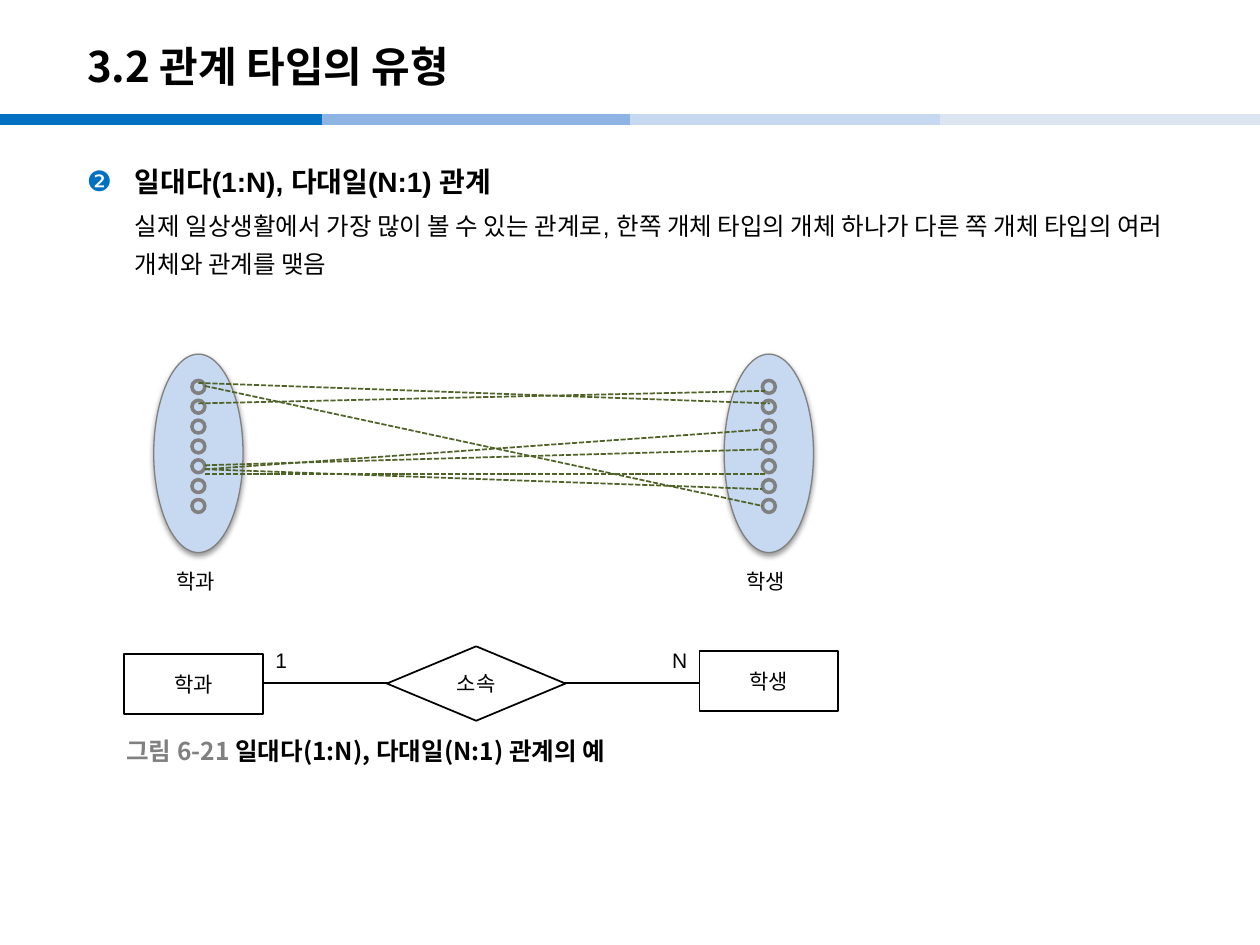
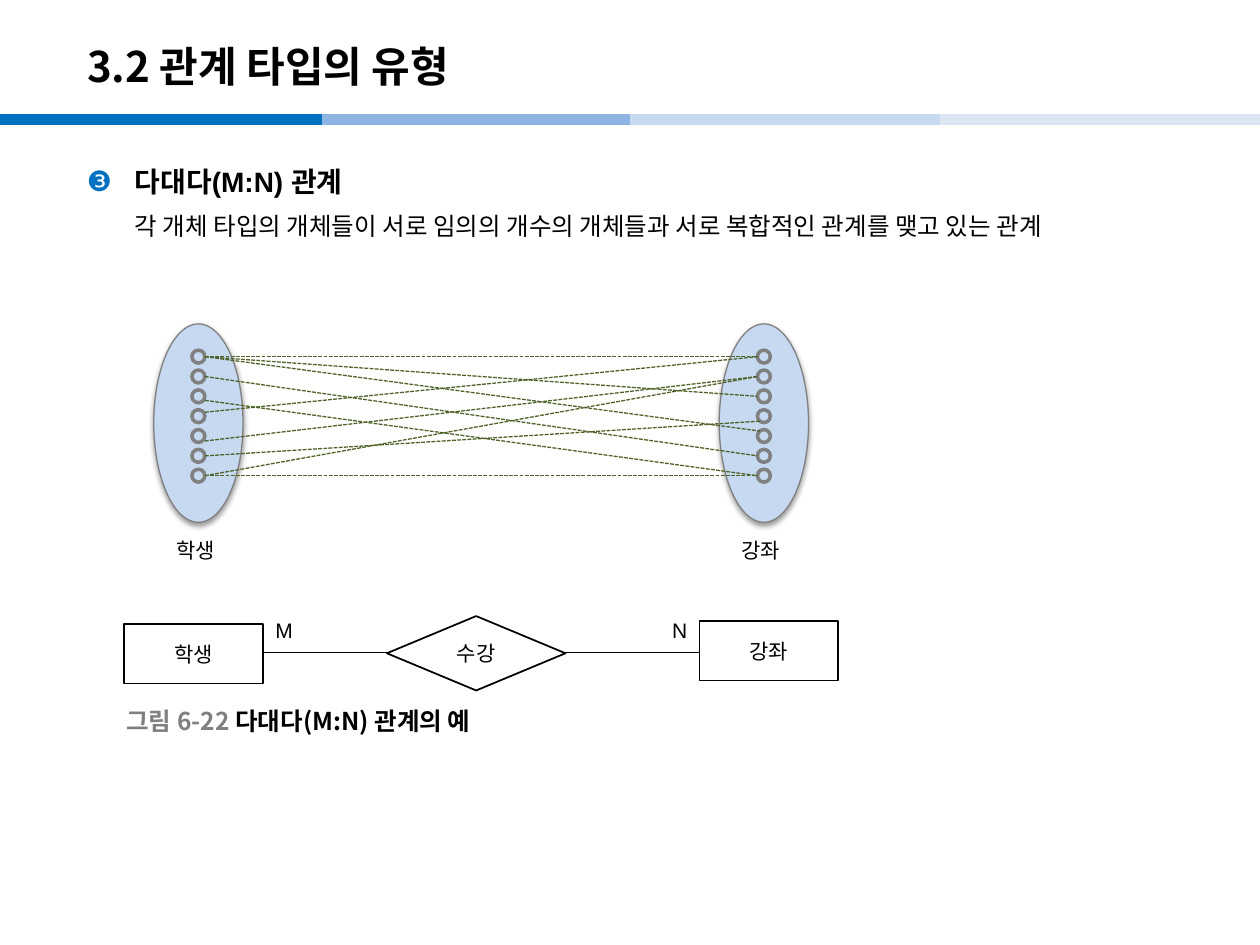
from dataclasses import dataclass
from typing import NamedTuple

from lxml import etree
from pptx import Presentation
from pptx.dml.color import RGBColor
from pptx.enum.dml import MSO_LINE
from pptx.enum.shapes import MSO_CONNECTOR, MSO_SHAPE
from pptx.enum.text import MSO_ANCHOR, PP_ALIGN
from pptx.oxml.ns import qn
from pptx.util import Cm, Pt

STRAIGHT = MSO_CONNECTOR.STRAIGHT
OVAL, DOT = MSO_SHAPE.OVAL, MSO_SHAPE.FLOWCHART_CONNECTOR
RECTANGLE, DIAMOND = MSO_SHAPE.RECTANGLE, MSO_SHAPE.FLOWCHART_DECISION
SHORT_DASH = MSO_LINE.SQUARE_DOT
LEFT, CENTER = PP_ALIGN.LEFT, PP_ALIGN.CENTER
MIDDLE, TOP = MSO_ANCHOR.MIDDLE, MSO_ANCHOR.TOP
TITLE_ONLY = 5


@dataclass(frozen=True)
class Theme:
    korean_font: str = "Noto Sans CJK KR"
    latin_font: str = "Arial"
    black: str = "000000"
    white: str = "FFFFFF"
    gray: str = "808080"
    accent: str = "0070C0"
    set_fill: str = "C6D9F1"
    link: str = "4F6228"
    bands: tuple = ("0070C0", "8EB4E3", "C6D9F1", "DCE6F2")
    title_size: int = 24
    heading_size: int = 16
    body_size: int = 14
    label_size: int = 12
    line_spacing: float = 1.27


THEME = Theme()


class Box(NamedTuple):
    """Lengths in centimetres."""
    left: float
    top: float
    width: float
    height: float

    def inner(self, left, top, width, height):
        return Box(self.left + left, self.top + top, width, height)

    def lengths(self):
        return [Cm(value) for value in self]


class Link(NamedTuple):
    """Dot rows joined, and how far each end reaches into its dot."""
    left_row: float
    right_row: float
    left_reach: float = 0
    right_reach: float = 0


class Relation(NamedTuple):
    bullet: str
    heading: str
    description: str
    left_entity: str
    right_entity: str
    verb: str
    left_count: str
    right_count: str
    figure: str
    caption: str
    diagram_top: float
    right_set_left: float
    link_width: float
    links: tuple


TITLE = "3.2 관계 타입의 유형"
TITLE_BOX = Box(1.5, 0.56, 21, 1.52)
BODY_BOX = Box(1.5, 3.02, 22.4, 4)
BAND_TOP = 2.41
BAND_EDGES = (0, 6.5, 12.7, 18.95, 25.4)
DIAGRAM_LEFT, DIAGRAM_WIDTH, DIAGRAM_HEIGHT = 2.3, 14.6, 8.4
SET_LEFT, SET_WIDTH, SET_HEIGHT = 0.8, 1.8, 4
DOT_COUNT, DOT_SIZE, DOT_PITCH, FIRST_DOT_CENTER = 7, 0.26, 0.4, 0.66
DOT_INSET = (SET_WIDTH - DOT_SIZE) / 2

RELATIONS = (
    Relation(
        "❷", "일대다(1:N), 다대일(N:1) 관계",
        "실제 일상생활에서 가장 많이 볼 수 있는 관계로, 한쪽 개체 타입의 개체 하나가 "
        "다른 쪽 개체 타입의 여러 개체와 관계를 맺음",
        "학과", "학생", "소속", "1", "N",
        "그림 6-21 ", "일대다(1:N), 다대일(N:1) 관계의 예",
        7.14, 12.3, 1,
        (Link(0.83, 0.2, 0.13, 0.05), Link(-0.2, 0.83, 0.13, 0.15), Link(-0.05, 6),
         Link(4.15, 2.15), Link(3.95, 3.15), Link(4.4, 4.4, 0, 0.05), Link(4.15, 5.15)),
    ),
    Relation(
        "❸", "다대다(M:N) 관계",
        "각 개체 타입의 개체들이 서로 임의의 개수의 개체들과 서로 복합적인 관계를 맺고 있는 관계",
        "학생", "강좌", "수강", "M", "N",
        "그림 6-22 ", "다대다(M:N) 관계의 예",
        6.53, 12.2, 0.75,
        (Link(0, 0), Link(0, 2), Link(0, 3.75, 0, 0.05), Link(2.8, 0), Link(4.25, 1),
         Link(2.2, 6), Link(6, 1), Link(6, 6), Link(1, 5), Link(5, 3.25, 0, 0.05)),
    ),
)


def color(value):
    return RGBColor.from_string(value)


def add_run(paragraph, text, size, latin=THEME.korean_font, fill=THEME.black, bold=False):
    run = paragraph.add_run()
    run.text = text
    font = run.font
    font.size, font.bold, font.name = Pt(size), bold, latin
    font.color.rgb = color(fill)
    etree.SubElement(run._r.get_or_add_rPr(), qn("a:ea"), typeface=THEME.korean_font)


def add_text_box(slide, box, anchor=MIDDLE):
    frame = slide.shapes.add_textbox(*box.lengths()).text_frame
    frame.word_wrap = True
    frame.vertical_anchor = anchor
    return frame


def add_label(slide, box, text):
    paragraph = add_text_box(slide, box).paragraphs[0]
    add_run(paragraph, text, THEME.label_size, THEME.latin_font)


def add_outlined_shape(shapes, kind, box, fill, line, width):
    shape = shapes.add_shape(kind, *box.lengths())
    shape.shadow.inherit = False
    shape.fill.solid()
    shape.fill.fore_color.rgb = color(fill)
    shape.line.color.rgb = color(line)
    shape.line.width = Pt(width)
    return shape


def add_line(slide, start, end, line, width, dash=None):
    connector = slide.shapes.add_connector(
        STRAIGHT, *(Cm(value) for value in (*start, *end)))
    connector.line.color.rgb = color(line)
    connector.line.width = Pt(width)
    if dash:
        connector.line.dash_style = dash
    etree.SubElement(connector._element.spPr, qn("a:effectLst"))


def cast_shadow(shape):
    effects = shape._element.spPr.find(qn("a:effectLst"))
    shadow = etree.SubElement(
        effects, qn("a:outerShdw"), blurRad=str(Pt(3.1)), dist=str(Pt(1.6)),
        dir="5400000", rotWithShape="0")
    black = etree.SubElement(shadow, qn("a:srgbClr"), val=THEME.black)
    etree.SubElement(black, qn("a:alpha"), val="38000")


def set_bullet(paragraph, character=None):
    """Hang the paragraph; without a character it only lines up with the bulleted text."""
    properties = paragraph._p.get_or_add_pPr()
    properties.set("marL", str(Cm(0.97)))
    properties.set("indent", str(Cm(-0.97 if character else 0)))
    if character:
        bullet_color = etree.SubElement(properties, qn("a:buClr"))
        etree.SubElement(bullet_color, qn("a:srgbClr"), val=THEME.accent)
        etree.SubElement(properties, qn("a:buFont"), typeface=THEME.latin_font)
        etree.SubElement(properties, qn("a:buChar"), char=character)
    else:
        etree.SubElement(properties, qn("a:buNone"))


def add_bands(slide):
    for start, end, band in zip(BAND_EDGES, BAND_EDGES[1:], THEME.bands):
        add_line(slide, (start, BAND_TOP), (end, BAND_TOP), band, 6)


def format_title(slide, box):
    title = slide.shapes.title
    title.left, title.top, title.width, title.height = box.lengths()
    title.text_frame.vertical_anchor = MIDDLE
    paragraph = title.text_frame.paragraphs[0]
    paragraph.alignment = LEFT
    add_run(paragraph, TITLE, THEME.title_size, bold=True)


def add_explanation(slide, box, relation):
    frame = add_text_box(slide, box, TOP)
    heading, description = frame.paragraphs[0], frame.add_paragraph()
    set_bullet(heading, relation.bullet)
    set_bullet(description)
    heading.line_spacing = description.line_spacing = THEME.line_spacing
    description.space_before = Pt(2.8)
    add_run(heading, relation.heading, THEME.heading_size, THEME.latin_font, bold=True)
    add_run(description, relation.description, THEME.body_size, THEME.latin_font)


def add_entity_set(slide, box):
    shapes = slide.shapes.add_group_shape().shapes
    cast_shadow(add_outlined_shape(shapes, OVAL, box, THEME.set_fill, THEME.gray, 0.75))
    for row in range(DOT_COUNT):
        top = FIRST_DOT_CENTER - DOT_SIZE / 2 + row * DOT_PITCH
        dot = box.inner(DOT_INSET, top, DOT_SIZE, DOT_SIZE)
        add_outlined_shape(shapes, DOT, dot, THEME.set_fill, THEME.gray, 2)


def add_links(slide, left_set, right_set, relation):
    start_x = left_set.left + DOT_INSET + DOT_SIZE
    end_x = right_set.left + DOT_INSET
    first_y = left_set.top + FIRST_DOT_CENTER
    for link in relation.links:
        start = (start_x - link.left_reach, first_y + link.left_row * DOT_PITCH)
        end = (end_x + link.right_reach, first_y + link.right_row * DOT_PITCH)
        add_line(slide, start, end, THEME.link, relation.link_width, SHORT_DASH)


def add_node(slide, kind, box, text):
    shape = add_outlined_shape(slide.shapes, kind, box, THEME.white, THEME.black, 1)
    shape.text_frame.vertical_anchor = MIDDLE
    paragraph = shape.text_frame.paragraphs[0]
    paragraph.alignment = CENTER
    add_run(paragraph, text, THEME.label_size)


def add_entity_diagram(slide, box, relation):
    line_y = box.top + 0.84
    add_line(slide, (box.left + 3, line_y), (box.left + 11.8, line_y), THEME.black, 0.75)
    add_node(slide, DIAMOND, box.inner(5.5, 0.1, 3.6, 1.5), relation.verb)
    add_label(slide, box.inner(3, 0, 0.9, 0.76), relation.left_count)
    add_label(slide, box.inner(11, 0, 0.9, 0.76), relation.right_count)
    add_node(slide, RECTANGLE, box.inner(0.2, 0.26, 2.8, 1.2), relation.left_entity)
    add_node(slide, RECTANGLE, box.inner(11.8, 0.2, 2.8, 1.2), relation.right_entity)


def add_caption(slide, box, relation):
    paragraph = add_text_box(slide, box).paragraphs[0]
    add_run(paragraph, relation.figure, THEME.body_size, fill=THEME.gray, bold=True)
    add_run(paragraph, relation.caption, THEME.body_size, bold=True)


def add_figure(slide, box, relation):
    left_set, right_set = (
        box.inner(left, 0, SET_WIDTH, SET_HEIGHT)
        for left in (SET_LEFT, relation.right_set_left))
    for entity_set, name in ((left_set, relation.left_entity),
                             (right_set, relation.right_entity)):
        add_entity_set(slide, entity_set)
        add_label(slide, entity_set.inner(0.2, 4.19, 1.4, 0.76), name)
    add_entity_diagram(slide, box.inner(0, 5.79, box.width, 1.6), relation)
    add_caption(slide, box.inner(0, 7.6, box.width, 0.8), relation)
    add_links(slide, left_set, right_set, relation)


def add_relation_slide(presentation, relation):
    slide = presentation.slides.add_slide(presentation.slide_layouts[TITLE_ONLY])
    add_bands(slide)
    format_title(slide, TITLE_BOX)
    add_explanation(slide, BODY_BOX, relation)
    figure = Box(DIAGRAM_LEFT, relation.diagram_top, DIAGRAM_WIDTH, DIAGRAM_HEIGHT)
    add_figure(slide, figure, relation)


def main():
    presentation = Presentation()
    presentation.slide_width, presentation.slide_height = Cm(25.4), Cm(19.05)
    for relation in RELATIONS:
        add_relation_slide(presentation, relation)
    presentation.save("out.pptx")


if __name__ == "__main__":
    main()
